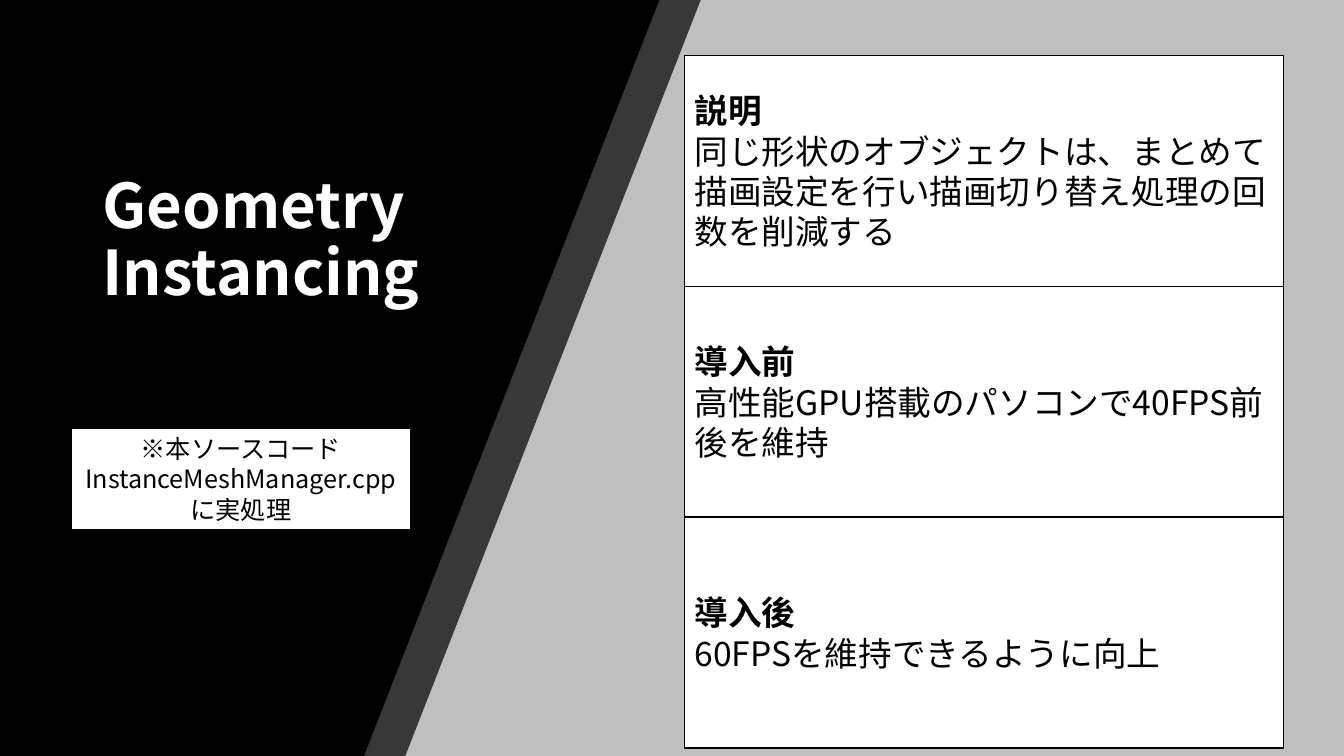
from lxml import etree
from pptx import Presentation
from pptx.dml.color import RGBColor
from pptx.enum.shapes import MSO_SHAPE
from pptx.enum.text import MSO_ANCHOR, MSO_AUTO_SIZE, PP_ALIGN
from pptx.oxml.ns import qn
from pptx.util import Inches, Pt

FONT = "Noto Sans CJK JP"
COLORS = {"background": "BFBFBF", "black": "000000", "white": "FFFFFF"}


def paint(shape, fill, line=None):
    shape.shadow.inherit = False
    shape.fill.solid()
    shape.fill.fore_color.rgb = RGBColor.from_string(COLORS[fill])
    if line:
        shape.line.color.rgb = RGBColor.from_string(COLORS[line])
        shape.line.width = Pt(1)
    else:
        shape.line.fill.background()


def write(paragraph, text, size, color, bold=False, align=PP_ALIGN.LEFT):
    paragraph.alignment = align
    run = paragraph.add_run()
    run.text = text
    run.font.size = Pt(size)
    run.font.bold = bold
    run.font.name = FONT
    run.font.color.rgb = RGBColor.from_string(COLORS[color])
    east_asian = etree.SubElement(run.font._element, qn("a:ea"))
    east_asian.set("typeface", FONT)


prs = Presentation()
prs.slide_width, prs.slide_height = Inches(13.33), Inches(7.5)
slide = prs.slides.add_slide(prs.slide_layouts[6])
slide.background.fill.solid()
slide.background.fill.fore_color.rgb = RGBColor.from_string(COLORS["background"])

for top_edge, bottom_edge, opacity in [(6.95, 4.02, 70), (6.54, 3.61, 100)]:
    outline = slide.shapes.build_freeform(Inches(top_edge), 0)
    outline.add_line_segments(
        [(0, 0), (0, Inches(7.5)), (Inches(bottom_edge), Inches(7.5))], close=True
    )
    slope = outline.convert_to_shape()
    paint(slope, "black")
    if opacity < 100:
        color = slope.fill._xPr.find(qn("a:solidFill"))[0]
        etree.SubElement(color, qn("a:alpha")).set("val", str(opacity * 1000))

title = slide.shapes.add_textbox(Inches(0.92), Inches(0.77), Inches(4.3), Inches(3.26))
title.text_frame.word_wrap = True
title.text_frame.vertical_anchor = MSO_ANCHOR.MIDDLE
title.text_frame.paragraphs[0].line_spacing = 0.9
write(title.text_frame.paragraphs[0], "Geometry Instancing", 44, "white", bold=True)

sections = [
    ("説明", "同じ形状のオブジェクトは、まとめて描画設定を行い描画切り替え処理の回数を削減する"),
    ("導入前", "高性能GPU搭載のパソコンで40FPS前後を維持"),
    ("導入後", "60FPSを維持できるように向上"),
]
for row, (heading, description) in enumerate(sections):
    panel = slide.shapes.add_shape(
        MSO_SHAPE.RECTANGLE,
        Inches(6.79), Inches(0.55 + row * 2.29), Inches(5.94), Inches(2.29),
    )
    paint(panel, "white", "black")
    frame = panel.text_frame
    frame.word_wrap = True
    frame.vertical_anchor = MSO_ANCHOR.MIDDLE
    write(frame.paragraphs[0], heading, 24, "black", bold=True)
    write(frame.add_paragraph(), description, 24, "black")

source_note = slide.shapes.add_shape(
    MSO_SHAPE.RECTANGLE, Inches(0.71), Inches(4.25), Inches(3.36), Inches(1.01)
)
paint(source_note, "white", "black")
frame = source_note.text_frame
frame.word_wrap = False
frame.auto_size = MSO_AUTO_SIZE.SHAPE_TO_FIT_TEXT
frame.vertical_anchor = MSO_ANCHOR.TOP
for index, text in enumerate(["※本ソースコード", "InstanceMeshManager.cpp", "に実処理"]):
    paragraph = frame.add_paragraph() if index else frame.paragraphs[0]
    write(paragraph, text, 18, "black", align=PP_ALIGN.CENTER)

prs.save("out.pptx")
